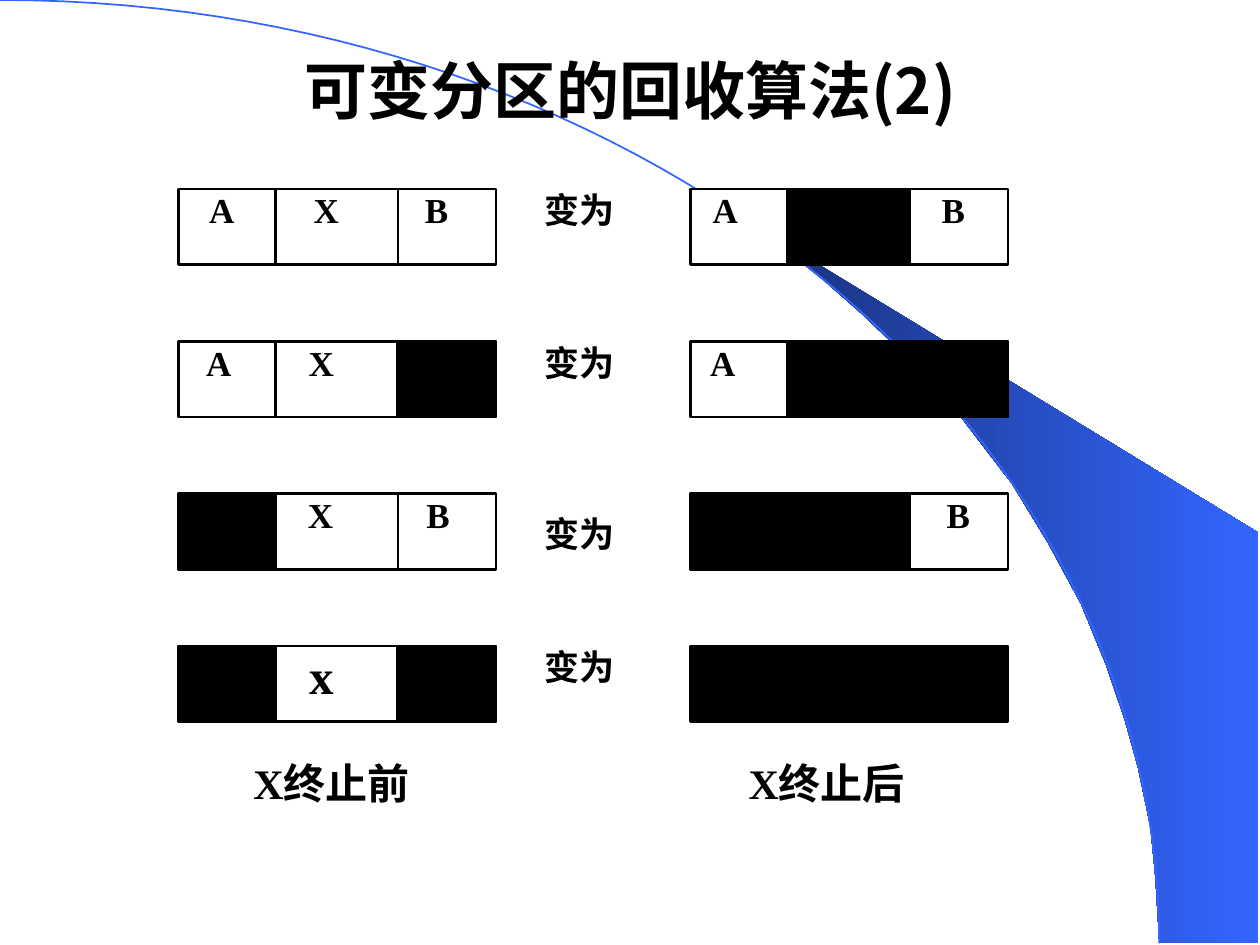
from lxml.etree import SubElement
from pptx import Presentation
from pptx.dml.color import RGBColor
from pptx.enum.shapes import MSO_CONNECTOR, MSO_SHAPE
from pptx.enum.text import MSO_ANCHOR, PP_ALIGN
from pptx.oxml.ns import qn
from pptx.util import Cm, Pt

CJK = "Noto Sans CJK JP"
BLACK, WHITE, BLUE, NAVY = "000000", "FFFFFF", "3366FF", "182F76"


def write_text(shape, text, size=20, font="Times New Roman", color=BLACK,
               align=PP_ALIGN.LEFT, anchor=MSO_ANCHOR.TOP, top=0, tabs=()):
    """Fill a shape with one bold paragraph; tabs are centred stops in cm."""
    frame = shape.text_frame
    frame.word_wrap = True
    frame.vertical_anchor = anchor
    frame.margin_left = frame.margin_right = frame.margin_bottom = 0
    frame.margin_top = Cm(top)
    paragraph = frame.paragraphs[0]
    paragraph.alignment = align
    if tabs:
        tab_list = SubElement(paragraph._p.get_or_add_pPr(), qn("a:tabLst"))
        for position in tabs:
            SubElement(tab_list, qn("a:tab"), pos=str(Cm(position)), algn="ctr")
    run = paragraph.add_run()
    run.text = text
    run.font.name = font
    run.font.size = Pt(size)
    run.font.bold = True
    run.font.color.rgb = RGBColor.from_string(color)
    SubElement(run._r.get_or_add_rPr(), qn("a:ea"), typeface=CJK)


def add_box(left, top, width, height, fill, outlined=True):
    shape = slide.shapes.add_shape(
        MSO_SHAPE.RECTANGLE, Cm(left), Cm(top), Cm(width), Cm(height))
    shape.shadow.inherit = False
    shape.fill.solid()
    shape.fill.fore_color.rgb = RGBColor.from_string(fill)
    if outlined:
        shape.line.color.rgb = RGBColor.from_string(BLACK)
        shape.line.width = Pt(1.5)
    else:
        shape.line.fill.background()
    return shape


presentation = Presentation()
presentation.slide_width, presentation.slide_height = Cm(25.4), Cm(19.05)
slide = presentation.slides.add_slide(presentation.slide_layouts[5])

# Title
title = slide.shapes.title
title.left, title.top, title.width, title.height = Cm(1.9), Cm(0.64), Cm(21.6), Cm(2.34)
write_text(title, "可变分区的回收算法(2)", size=36, font=CJK,
           align=PP_ALIGN.CENTER, anchor=MSO_ANCHOR.MIDDLE)

# Background: blue wedge and long arc, both behind the title
wedge_points = [
    (23.37, 19), (25.37, 19.02), (25.37, 10.74), (14.96, 4.39), (15.85, 5.05),
    (16.59, 5.64), (17.4, 6.35), (18.19, 7.11), (19.35, 8.38), (20.4, 9.75),
    (21.13, 10.95), (21.79, 12.17), (22.3, 13.41), (22.68, 14.53),
    (22.94, 15.47), (23.19, 16.66), (23.29, 17.68)]
arc_points = []
steps = 60
for step in range(steps + 1):
    t = step / steps
    u = 1 - t
    arc_points.append((3 * u * u * t * 12.9 + (3 * u * t * t + t ** 3) * 23.37,
                       3 * u * t * t * 8.51 + t ** 3 * 19.02))

curves = []
for points, closed in ((wedge_points, True), (arc_points, False)):
    corners = [(Cm(x), Cm(y)) for x, y in points]
    builder = slide.shapes.build_freeform(*corners[0])
    builder.add_line_segments(corners[1:], close=closed)
    curve = builder.convert_to_shape()
    curve.shadow.inherit = False
    slide.shapes._spTree.insert(2 + len(curves), curve._element)
    curves.append(curve)
wedge, arc = curves
wedge.fill.gradient()
wedge.fill.gradient_angle = 0
for stop, position, color in zip(wedge.fill.gradient_stops, (0, 1), (NAVY, BLUE)):
    stop.position = position
    stop.color.rgb = RGBColor.from_string(color)
wedge.line.fill.background()
arc.fill.background()
arc.line.color.rgb = RGBColor.from_string(BLUE)
arc.line.width = Pt(1)

# Memory bars: letters with their centres, dividers, black spans (edge numbers)
first_top, row_pitch, bar_height = 3.81, 3.07, 1.53
before_left, after_left = 3.6, 13.92
edges = [0, 1.96, 4.42, 6.4]
rows = [
    (({"A": 0.87, "X": 2.98, "B": 5.2}, (1, 2), ()),
     ({"A": 0.7, "B": 5.3}, (1, 2), ((1, 2),))),
    (({"A": 0.81, "X": 2.88}, (1, 2), ((2, 3),)),
     ({"A": 0.65}, (1,), ((1, 3),))),
    (({"X": 2.86, "B": 5.23}, (1, 2), ((0, 1),)),
     ({"B": 5.4}, (2,), ((0, 2),))),
    (({"x": 2.88}, (1, 2), ((0, 1), (2, 3))),
     ({}, (), ((0, 3),))),
]
for index, row in enumerate(rows):
    top = first_top + index * row_pitch
    for left, (letters, dividers, spans) in zip((before_left, after_left), row):
        if letters:
            bar = add_box(left, top, edges[-1], bar_height, WHITE)
            write_text(bar, "".join("\t" + letter for letter in letters),
                       size=28 if "x" in letters else 20, tabs=letters.values())
        for edge in dividers:
            x = Cm(left + edges[edge])
            divider = slide.shapes.add_connector(
                MSO_CONNECTOR.STRAIGHT, x, Cm(top), x, Cm(top + bar_height))
            divider.line.color.rgb = RGBColor.from_string(BLACK)
            divider.line.width = Pt(1.5)
            SubElement(divider._element.spPr, qn("a:effectLst"))
        for start, end in spans:
            add_box(left + edges[start], top, edges[end] - edges[start],
                    bar_height, BLACK)
    label = add_box(10.97, top, 1.48, bar_height, WHITE, outlined=False)
    write_text(label, "变为", top=0.39 if index == 2 else 0)

# Captions under the two columns
for text, left, width, height in (("X终止前", 5.11, 4.24, 1.22),
                                  ("X终止后", 15.09, 3.43, 1.45)):
    caption = add_box(left, 15.27, width, height, WHITE, outlined=False)
    write_text(caption, text, size=24)

presentation.save("out.pptx")
